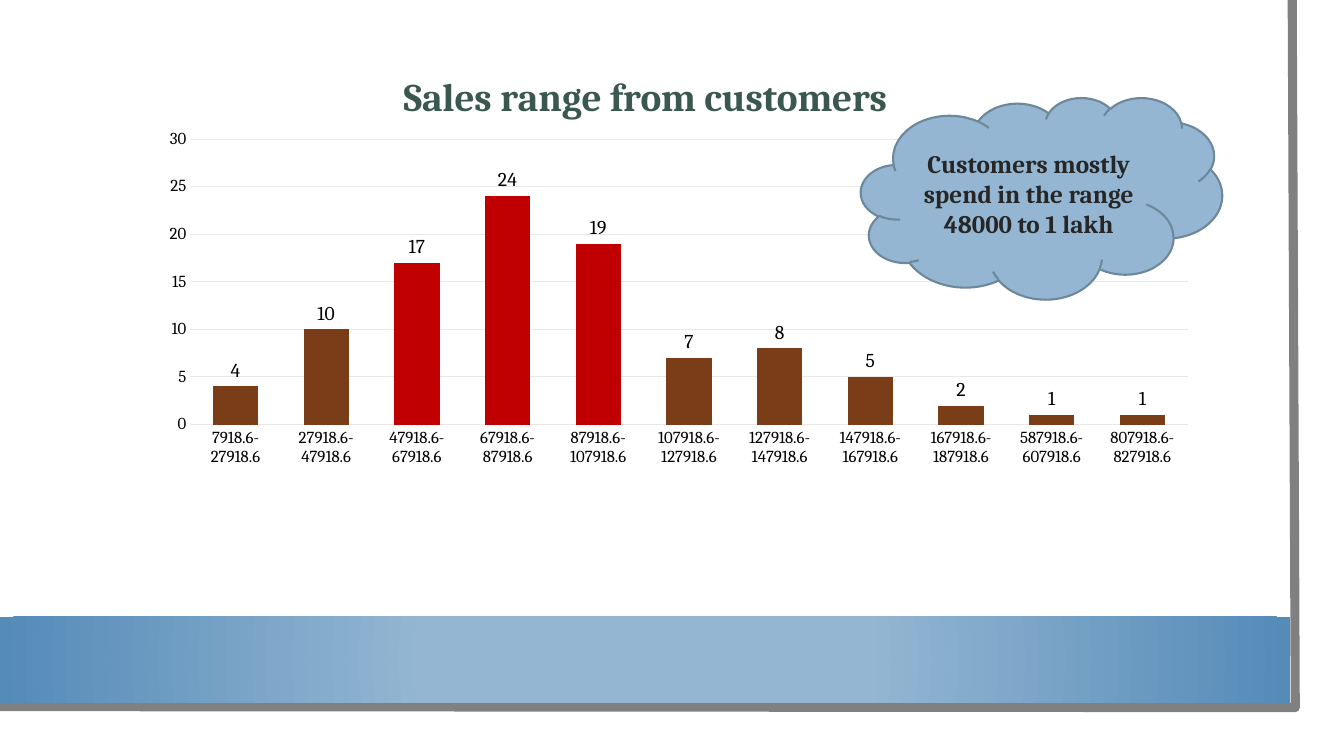
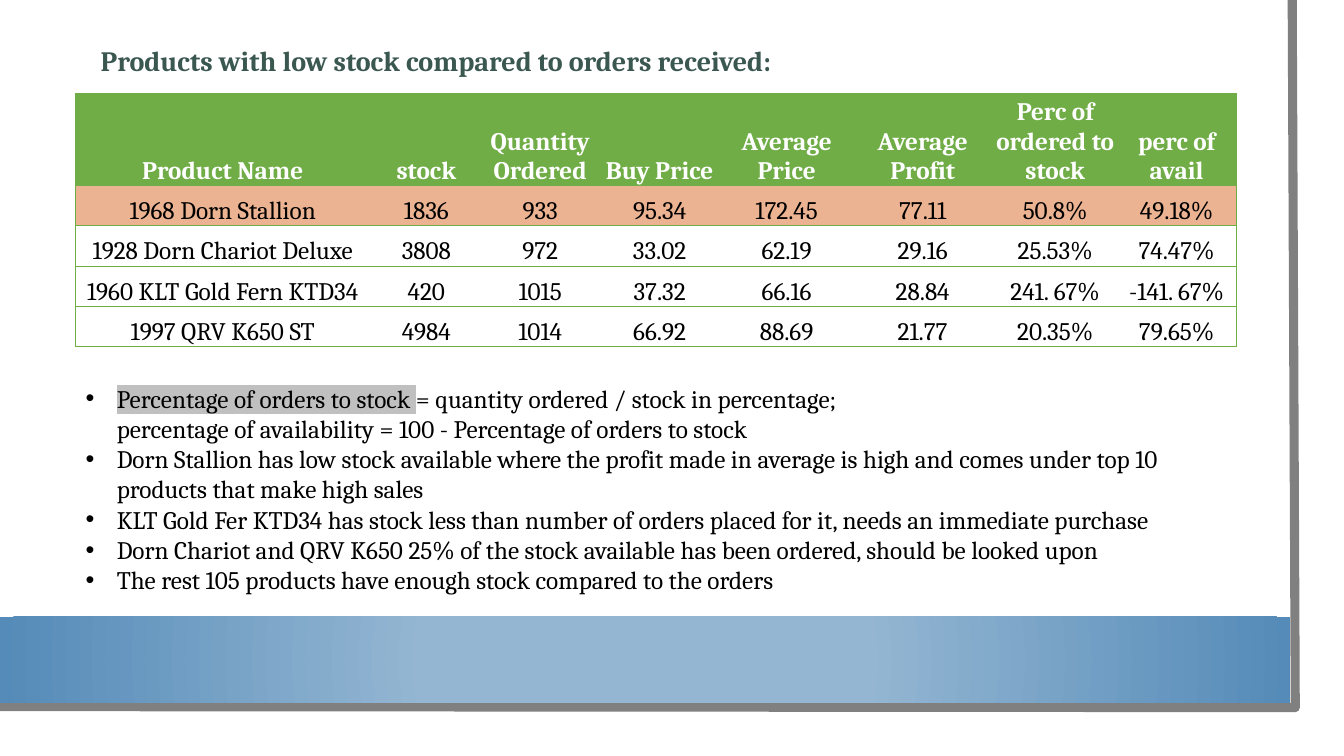
from lxml import etree
from pptx import Presentation
from pptx.chart.data import CategoryChartData
from pptx.dml.color import RGBColor
from pptx.enum.chart import XL_CHART_TYPE, XL_LABEL_POSITION, XL_TICK_MARK
from pptx.enum.shapes import MSO_SHAPE
from pptx.enum.text import MSO_ANCHOR, PP_ALIGN
from pptx.oxml import parse_xml
from pptx.oxml.ns import nsdecls, qn
from pptx.util import Inches, Pt

# Grid of 160 columns by 90 rows, twelve to the inch
GRID = Inches(1) // 12
LEFT, TABLE_WIDTH = 9, 138.24

WHITE, BLACK, GREY = "FFFFFF", "000000", "808080"
PALE_BLUE, MID_BLUE, CLOUD_EDGE = "94B6D2", "558BB8", "6D879B"
BROWN, RED, AXIS_LINE = "7B3D17", "C00000", "ECE6E4"
GREEN, PEACH, SILVER = "70AD47", "EBB391", "C0C0C0"
rgb = RGBColor.from_string

TITLE = {"color": "3A5750", "bold": True}
BODY = {"size": Pt(18), "color": BLACK, "bold": False}
HEADER = {"size": Pt(18), "color": WHITE, "bold": True}
AXIS = {"size": Pt(12), "color": BLACK}


def place(*cells):
    """Turn left, top, width and height in grid cells into lengths."""
    return [round(cell * GRID) for cell in cells]


def format_font(font, values):
    for name, value in {"name": "Cambria", **values}.items():
        if name == "color":
            font.color.rgb = rgb(value)
        else:
            setattr(font, name, value)


presentation = Presentation()
presentation.slide_width, presentation.slide_height = place(160, 90)
layout = presentation.slide_layouts[6]
chart_slide = presentation.slides.add_slide(layout)
table_slide = presentation.slides.add_slide(layout)

# Shared frame: page, grey edge and blue band, moved to the layout
shapes = chart_slide.shapes
page = shapes.add_shape(MSO_SHAPE.RECTANGLE, *place(0, 0, 157.2, 87.2))
page.fill.solid()
page.fill.fore_color.rgb = rgb(WHITE)
page.line.fill.background()

outline = shapes.build_freeform(*place(153.84, 0))
outline.add_line_segments([place(154.2, 84.24), place(-0.36, 84.12)], close=False)
edge = outline.convert_to_shape()
edge.fill.background()
edge.line.color.rgb = rgb(GREY)
edge.line.width = Pt(6.5)

band = shapes.add_shape(MSO_SHAPE.RECTANGLE, *place(0, 73.44, 153.6, 10.2))
band.line.fill.background()
band.fill.gradient()
for stop, position, color in zip(band.fill.gradient_stops, (0.34, 1), (PALE_BLUE, MID_BLUE)):
    stop.position = position
    stop.color.rgb = rgb(color)
linear = band.element.spPr.find(".//" + qn("a:lin"))
linear.getparent().replace(linear, parse_xml(
    f'<a:path {nsdecls("a")} path="circle">'
    '<a:fillToRect l="50000" t="50000" r="50000" b="50000"/></a:path>'))

for shape in (page, edge, band):
    shape.shadow.inherit = False
    layout.shapes.element.append(shape.element)

# Slide 1: column chart
chart_data = CategoryChartData()
chart_data.categories = [
    "7918.6-27918.6", "27918.6-47918.6", "47918.6-67918.6", "67918.6-87918.6",
    "87918.6-107918.6", "107918.6-127918.6", "127918.6-147918.6",
    "147918.6-167918.6", "167918.6-187918.6", "587918.6-607918.6",
    "807918.6-827918.6"]
chart_data.add_series("Series 1", (4, 10, 17, 24, 19, 7, 8, 5, 2, 1, 1))
chart = shapes.add_chart(
    XL_CHART_TYPE.COLUMN_CLUSTERED, *place(LEFT, 5, 136.5, 68), chart_data).chart
format_font(chart.font, {"name": "Roboto Condensed", "size": Pt(10), "color": BLACK})
chart.has_legend = False
chart.has_title = True
title_paragraph = chart.chart_title.text_frame.paragraphs[0]
title_run = title_paragraph.add_run()
title_run.text = "Sales range from customers"
format_font(title_run.font, {**TITLE, "size": Pt(28)})

for axis in (chart.category_axis, chart.value_axis):
    axis.major_tick_mark = axis.minor_tick_mark = XL_TICK_MARK.NONE
    format_font(axis.tick_labels.font, AXIS)
chart.value_axis.format.line.fill.background()
for line in (chart.category_axis.format.line, chart.value_axis.major_gridlines.format.line):
    line.color.rgb = rgb(AXIS_LINE)
    line.width = Pt(0.75)

plot = chart.plots[0]
plot.gap_width, plot.overlap, plot.vary_by_categories = 100, -24, False
series = plot.series[0]
series.format.fill.solid()
series.format.fill.fore_color.rgb = rgb(BROWN)
for index in (2, 3, 4):
    fill = series.points[index].format.fill
    fill.solid()
    fill.fore_color.rgb = rgb(RED)
labels = series.data_labels
labels.show_value = True
labels.position = XL_LABEL_POSITION.OUTSIDE_END
format_font(labels.font, {"size": Pt(14), "color": BLACK})

# Fixed places for the chart title and the plot area
title_element = chart.chart_title.format.fill and chart.element.find(".//" + qn("c:title"))
plot_element = chart.element.find(".//" + qn("c:plotArea"))
for parent, index, target, shares in (
        (title_element, 1, "", {"x": 0.28, "y": 0.04}),
        (plot_element, 0, "inner", {"x": 0.1, "y": 0.17, "w": 0.87, "h": 0.5})):
    for old_layout in parent.findall(qn("c:layout")):
        parent.remove(old_layout)
    place_element = parse_xml(f'<c:layout {nsdecls("c")}><c:manualLayout/></c:layout>')
    manual = place_element[0]
    if target:
        etree.SubElement(manual, qn("c:layoutTarget"), val=target)
    for axis_name in ("x", "y"):
        etree.SubElement(manual, qn(f"c:{axis_name}Mode"), val="edge")
    for name, share in shares.items():
        etree.SubElement(manual, qn(f"c:{name}"), val=str(share))
    parent.insert(index, place_element)

# Slide 1: cloud with the finding
cloud = shapes.add_shape(MSO_SHAPE.CLOUD, *place(102.5, 11.6, 43, 24))
cloud.shadow.inherit = False
cloud.fill.solid()
cloud.fill.fore_color.rgb = rgb(PALE_BLUE)
cloud.line.color.rgb = rgb(CLOUD_EDGE)
cloud.line.width = Pt(1.5)
cloud.text_frame.vertical_anchor = MSO_ANCHOR.MIDDLE
paragraph = cloud.text_frame.paragraphs[0]
paragraph.alignment = PP_ALIGN.CENTER
run = paragraph.add_run()
run.text = "Customers mostly spend in the range 48000 to 1 lakh"
format_font(run.font, {"size": Pt(18), "color": "262626", "bold": True})

# Slide 2: title
shapes = table_slide.shapes
title_frame = shapes.add_textbox(*place(10.8, 4.8, 136.5, 5.2)).text_frame
title_frame.word_wrap = True
title_frame.vertical_anchor = MSO_ANCHOR.MIDDLE
paragraph = title_frame.paragraphs[0]
paragraph.line_spacing = 0.9
run = paragraph.add_run()
run.text = "Products with low stock compared to orders received:"
format_font(run.font, {**TITLE, "size": Pt(20)})

# Slide 2: stock table
rows = [
    ("Product Name", "stock", "Quantity\nOrdered", "Buy Price", "Average Price",
     "Average\nProfit", "Perc of ordered to stock", "perc of avail"),
    ("1968 Dorn Stallion", "1836", "933", "95.34", "172.45", "77.11", "50.8%", "49.18%"),
    ("1928 Dorn Chariot Deluxe", "3808", "972", "33.02", "62.19", "29.16", "25.53%", "74.47%"),
    ("1960 KLT Gold Fern KTD34", "420", "1015", "37.32", "66.16", "28.84", "241. 67%", "-141. 67%"),
    ("1997 QRV K650 ST", "4984", "1014", "66.92", "88.69", "21.77", "20.35%", "79.65%"),
]
row_fills = {0: GREEN, 1: PEACH}
column_widths = (2.92, 1.12, 1.14, 1.23, 1.29, 1.41, 1.22, 1.19)
last_column = len(column_widths) - 1
frame = shapes.add_table(
    len(rows), len(column_widths), *place(LEFT, 11.16, TABLE_WIDTH, 30))
table = frame.table
table.horz_banding = False
# "No style, no grid"
frame.element.find(".//" + qn("a:tableStyleId")).text = "{2D5ABB26-0587-4C30-8999-92F81FD0307C}"
for column, width in zip(table.columns, column_widths):
    column.width = Inches(width)
cell_format = {
    "vertical_anchor": MSO_ANCHOR.BOTTOM, "margin_left": Inches(0.01),
    "margin_right": Inches(0.01), "margin_top": Inches(0.01), "margin_bottom": 0}

for row_index, values in enumerate(rows):
    table.rows[row_index].height = Inches(0.4 if row_index else 0.9)
    for column_index, text in enumerate(values):
        cell = table.cell(row_index, column_index)
        cell.text = text
        for name, value in cell_format.items():
            setattr(cell, name, value)
        for paragraph in cell.text_frame.paragraphs:
            paragraph.alignment = PP_ALIGN.CENTER
            format_font(paragraph.runs[0].font, BODY if row_index else HEADER)
        sides = "L" * (column_index == 0) + "R" * (column_index == last_column) + "TB"
        for side in sides:
            cell._tc.get_or_add_tcPr().append(parse_xml(
                f'<a:ln{side} {nsdecls("a")} w="{Pt(0.5)}"><a:solidFill>'
                f'<a:srgbClr val="{GREEN}"/></a:solidFill></a:ln{side}>'))
        if row_index in row_fills:
            cell.fill.solid()
            cell.fill.fore_color.rgb = rgb(row_fills[row_index])
        else:
            cell.fill.background()

# Slide 2: notes under the table (bulleted, highlighted part, text)
points = [
    (True, "Percentage of orders to stock ", "= quantity ordered / stock in percentage;"),
    (False, "", "percentage of availability = 100 - Percentage of orders to stock"),
    (True, "", "Dorn Stallion has low stock available where the profit made in average is "
               "high and comes under top 10 products that make high sales"),
    (True, "", "KLT Gold Fer KTD34 has stock less than number of orders placed for it, "
               "needs an immediate purchase"),
    (True, "", "Dorn Chariot and QRV K650 25% of the stock available has been ordered, "
               "should be looked upon"),
    (True, "", "The rest 105 products have enough stock compared to the orders"),
]
text_frame = shapes.add_textbox(*place(LEFT, 45, TABLE_WIDTH, 26.64)).text_frame
text_frame.word_wrap = True
for index, (bulleted, highlighted, text) in enumerate(points):
    paragraph = text_frame.add_paragraph() if index else text_frame.paragraphs[0]
    properties = paragraph._p.get_or_add_pPr()
    properties.set("marL", str(Inches(0.31)))
    if bulleted:
        properties.set("indent", str(-Inches(0.31)))
        etree.SubElement(properties, qn("a:buFont"), typeface="Arial")
        etree.SubElement(properties, qn("a:buChar"), char="•")
    for part in filter(None, (highlighted, text)):
        run = paragraph.add_run()
        run.text = part
        format_font(run.font, BODY)
        if part == highlighted:
            run.font._element.find(qn("a:solidFill")).addnext(parse_xml(
                f'<a:highlight {nsdecls("a")}><a:srgbClr val="{SILVER}"/></a:highlight>'))

presentation.save("out.pptx")
